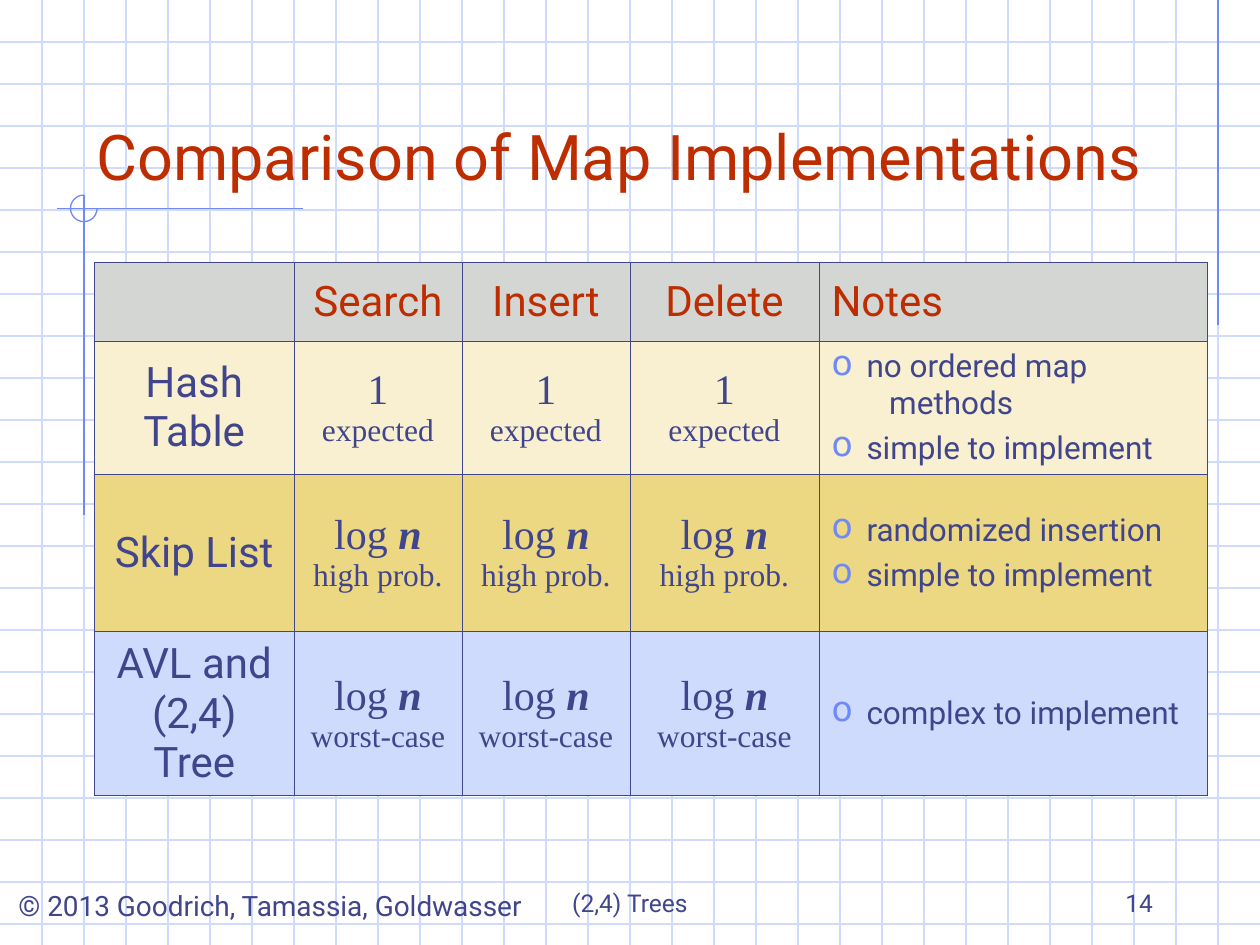
"""Build the slide comparing map implementations on a graph-paper background."""
from lxml.etree import SubElement
from pptx import Presentation
from pptx.dml.color import RGBColor
from pptx.enum.shapes import MSO_CONNECTOR, MSO_SHAPE
from pptx.enum.text import MSO_ANCHOR as Anchor, MSO_AUTO_SIZE as AutoSize, PP_ALIGN as Align
from pptx.oxml import parse_xml
from pptx.oxml.ns import nsdecls, qn
from pptx.util import Pt

COLORS = {
    "ink": "40458C", "heading": "BE2D00", "grid": "CFDBFD", "accent": "6F89F7",
    "header": "D4D6D4", "cream": "F8F0D0", "gold": "ECD882", "blue": "CFDBFD",
}
SANS, SERIF = "Roboto", "Times New Roman"
TITLE = "Comparison of Map Implementations"
HEADINGS = ["", "Search", "Insert", "Delete", "Notes"]
CONSTANT = [("1", False)]
LOGARITHMIC = [("log ", False), ("n", True)]
IMPLEMENTATIONS = [
    ("Hash Table", "cream", CONSTANT, "expected",
     [("no ordered map", True), ("methods", False), ("simple to implement", True)]),
    ("Skip List", "gold", LOGARITHMIC, "high prob.",
     [("randomized insertion", True), ("simple to implement", True)]),
    ("AVL and (2,4) Tree", "blue", LOGARITHMIC, "worst-case",
     [("complex to implement", True)]),
]
FOOTERS = [
    ("© 2013 Goodrich, Tamassia, Goldwasser", (-3.6, 504, 316, 26.6), 16, Align.CENTER, Anchor.TOP, False),
    ("(2,4) Trees", (246, 492, 228, 36), 14, Align.CENTER, Anchor.BOTTOM, True),
    ("14", (516, 492, 150, 36), 14, Align.RIGHT, Anchor.BOTTOM, True),
]
WIDTH, HEIGHT, GRID_STEP = 720, 540, 24
COLUMN_WIDTHS = [114, 96, 96, 108, 222]
ROW_HEIGHTS = [45, 76, 90, 93.6]
TABLE_LEFT, TABLE_TOP = 54, 150
NOTE_INDENT, CONTINUATION_INDENT = 20, 33
ACCENT_LINES = [(696, 0, 696, 186), (173, 119.3, 32.5, 119.3), (48, 111.5, 48, 294.5)]


def rgb(name):
    return RGBColor.from_string(COLORS[name])


def add_run(paragraph, text, size, color="ink", font=SANS, emphasis=False):
    run = paragraph.add_run()
    run.text = text
    run.font.size, run.font.name = Pt(size), font
    run.font.color.rgb = rgb(color)
    run.font.bold = run.font.italic = emphasis


def add_line(x1, y1, x2, y2, color):
    line = slide.shapes.add_connector(MSO_CONNECTOR.STRAIGHT, Pt(x1), Pt(y1), Pt(x2), Pt(y2))
    line.line.color.rgb, line.line.width = rgb(color), Pt(0.74)
    SubElement(line._element.spPr, qn("a:effectLst"))


def start_paragraph(cell, before, align=Align.CENTER, first=True):
    paragraph = cell.text_frame.paragraphs[0] if first else cell.text_frame.add_paragraph()
    paragraph.alignment, paragraph.space_before = align, Pt(before)
    return paragraph


def style_cell(cell, row, column, fill):
    cell.vertical_anchor = Anchor.MIDDLE
    cell.fill.solid()
    cell.fill.fore_color.rgb = rgb(fill)
    outer = {"L": column == 0, "R": column == len(COLUMN_WIDTHS) - 1,
             "T": row == 0, "B": row == len(ROW_HEIGHTS) - 1}
    for position, (side, is_outer) in enumerate(outer.items()):
        width = Pt(1.08 if is_outer else 0.45)
        cell._tc.tcPr.insert(position, parse_xml(
            f'<a:ln{side} {nsdecls("a")} w="{width}"><a:solidFill>'
            f'<a:srgbClr val="{COLORS["ink"]}"/></a:solidFill></a:ln{side}>'))


def indent_note(paragraph, bulleted):
    properties = paragraph._p.get_or_add_pPr()
    properties.set("marL", str(Pt(NOTE_INDENT if bulleted else CONTINUATION_INDENT)))
    properties.set("indent", str(Pt(-NOTE_INDENT if bulleted else 0)))
    if bulleted:
        color = SubElement(properties, qn("a:buClr"))
        SubElement(color, qn("a:srgbClr"), val=COLORS["accent"])
        SubElement(properties, qn("a:buSzPct"), val="110000")
        SubElement(properties, qn("a:buChar"), char="o")
    else:
        SubElement(properties, qn("a:buNone"))


deck = Presentation()
deck.slide_width, deck.slide_height = Pt(WIDTH), Pt(HEIGHT)
slide = deck.slides.add_slide(deck.slide_layouts[5])

for y in range(GRID_STEP, HEIGHT, GRID_STEP):
    add_line(0, y, WIDTH, y, "grid")
for x in range(GRID_STEP, WIDTH, GRID_STEP):
    add_line(x, 0, x, HEIGHT, "grid")
for ends in ACCENT_LINES:
    add_line(*ends, "accent")

arc = slide.shapes.add_shape(MSO_SHAPE.ARC, Pt(40.3), Pt(111.5), Pt(15.2), Pt(15.2))
arc.adjustments[0], arc.adjustments[1] = 0, 162
arc.shadow.inherit = False
arc.fill.background()
arc.line.color.rgb, arc.line.width = rgb("accent"), Pt(0.74)

for text, box, size, align, anchor, wrap in FOOTERS:
    footer = slide.shapes.add_textbox(*map(Pt, box)).text_frame
    footer.word_wrap, footer.vertical_anchor = wrap, anchor
    footer.paragraphs[0].alignment = align
    add_run(footer.paragraphs[0], text, size)

title = slide.shapes.title
title.left, title.top, title.width, title.height = Pt(48), Pt(24), Pt(612), Pt(90)
title.text_frame.vertical_anchor = Anchor.BOTTOM
title.text_frame.auto_size = AutoSize.NONE
title.text_frame.paragraphs[0].alignment = Align.LEFT
add_run(title.text_frame.paragraphs[0], TITLE, 36, "heading")
slide.shapes._spTree.append(title._element)

comparison = slide.shapes.add_table(
    len(ROW_HEIGHTS), len(COLUMN_WIDTHS), Pt(TABLE_LEFT), Pt(TABLE_TOP),
    Pt(sum(COLUMN_WIDTHS)), Pt(sum(ROW_HEIGHTS))).table
comparison.first_row = comparison.horz_banding = False
for column, width in zip(comparison.columns, COLUMN_WIDTHS):
    column.width = Pt(width)
for row, height in zip(comparison.rows, ROW_HEIGHTS):
    row.height = Pt(height)

fills = ["header"] + [fill for _, fill, *_ in IMPLEMENTATIONS]
for r, fill in enumerate(fills):
    for c in range(len(COLUMN_WIDTHS)):
        style_cell(comparison.cell(r, c), r, c, fill)

for c, heading in enumerate(HEADINGS):
    if heading:
        align = Align.LEFT if heading == "Notes" else Align.CENTER
        add_run(start_paragraph(comparison.cell(0, c), 6, align), heading, 24, "heading")

for r, (name, _, cost, qualifier, notes) in enumerate(IMPLEMENTATIONS, 1):
    add_run(start_paragraph(comparison.cell(r, 0), 6), name, 24)
    for c in range(1, 4):
        bound = start_paragraph(comparison.cell(r, c), 4.5)
        for text, emphasis in cost:
            add_run(bound, text, 24, font=SERIF, emphasis=emphasis)
        bound.add_line_break()
        add_run(bound, qualifier, 18, font=SERIF)
    for i, (text, bulleted) in enumerate(notes):
        note = start_paragraph(comparison.cell(r, 4), 4.5 if bulleted else 0, Align.LEFT, i == 0)
        indent_note(note, bulleted)
        add_run(note, text, 18)

deck.save("out.pptx")
